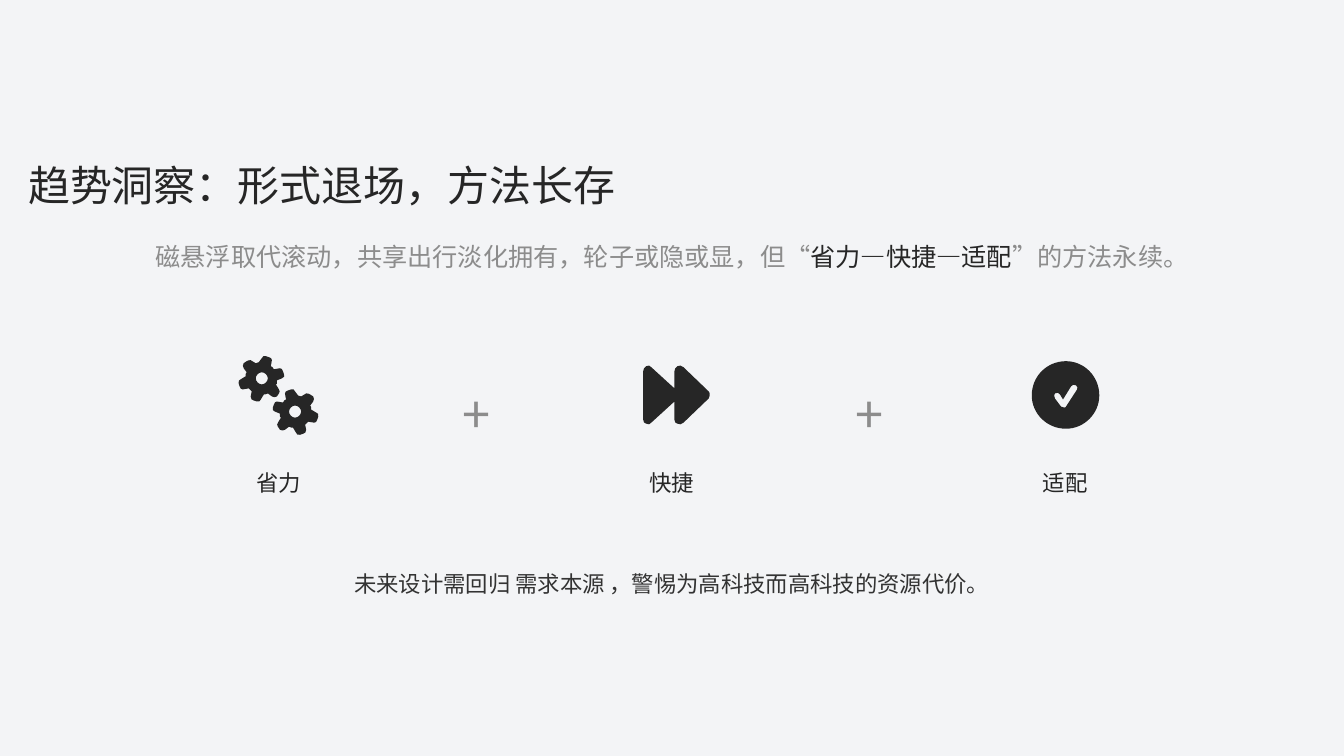
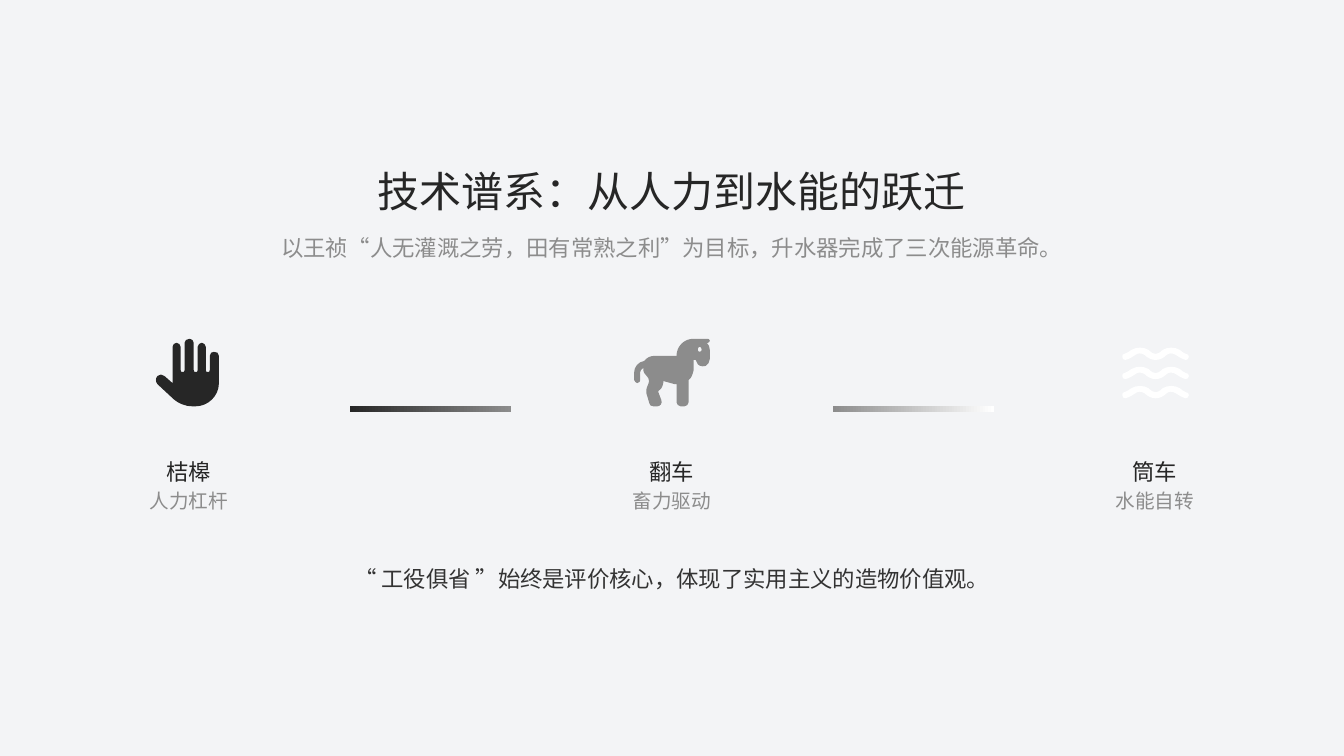
from lxml.etree import SubElement
from pptx import Presentation
from pptx.dml.color import RGBColor
from pptx.enum.shapes import MSO_SHAPE
from pptx.enum.text import MSO_ANCHOR, MSO_AUTO_SIZE, PP_ALIGN
from pptx.oxml.ns import qn
from pptx.util import Pt

PX = 12700  # 72 px per inch
ICON_UNIT = 9144  # icon outlines are drawn on a finer grid, 100 per inch
WIDTH, HEIGHT = 960, 540
MARGIN = 20
CENTRE = WIDTH // 2


class Theme:
    font = "Noto Sans CJK SC"
    paper = RGBColor.from_string("F3F4F6")
    ink = RGBColor.from_string("262626")
    body = RGBColor.from_string("333333")
    grey = RGBColor.from_string("8C8C8C")
    white = RGBColor.from_string("FFFFFF")
    title, lead, text, note, plus = 30, 18, 16, 14, 36


def put_text(sp, box, runs, size, colour, spacing=1.3, align=PP_ALIGN.CENTER):
    """Place a text shape and fill it; runs are (text, own colour or None)."""
    sp.left, sp.top, sp.width, sp.height = (v * PX for v in box)
    tf = sp.text_frame
    tf.word_wrap = True
    tf.auto_size = MSO_AUTO_SIZE.NONE
    tf.vertical_anchor = MSO_ANCHOR.MIDDLE
    tf.margin_left = tf.margin_right = tf.margin_top = tf.margin_bottom = 0
    p = tf.paragraphs[0]
    p.alignment = align
    p.line_spacing = spacing
    p.font.size = Pt(size)
    p.font.color.rgb = colour
    p.font.name = Theme.font
    east_asian = SubElement(p._p.pPr.find(qn("a:defRPr")), qn("a:ea"))
    east_asian.set("typeface", Theme.font)
    for text, own_colour in runs:
        r = p.add_run()
        r.text = text
        if own_colour is not None:
            r.font.color.rgb = own_colour


def trace(outline, dx=0, dy=0, flip=1):
    """Read 'x y' lines and 'x y x y x y' Bézier curves as lists of points."""
    segments = []
    for segment in outline.split(","):
        v = [int(n) for n in segment.split()]
        segments.append([(dx + flip * x, dy + y) for x, y in zip(v[::2], v[1::2])])
    return segments


GEAR = """-4 -22, -2 -23 -1 -22 0 -20, 3 -16, 4 -15 5 -15 6 -15, 11 -18,
 12 -18 14 -18 15 -17, 18 -15, 19 -13 19 -12 18 -10, 15 -6, 16 -5 16 -4 16 -4,
 16 -3 16 -3 16 -2, 21 1, 23 1 23 3 23 5, 22 8, 22 10 20 11 19 11, 13 10,
 12 11 11 12 10 13, 11 18, 11 20 10 22 8 22, 5 23, 3 23 1 23 1 21, -2 16,
 -3 16 -4 16 -6 15, -10 18, -12 19 -13 19 -15 18, -17 15, -18 14 -18 12 -17 11,
 -14 6, -15 6 -15 5 -15 4, -15 4 -15 3 -15 2, -20 0, -22 -1 -23 -2 -22 -4,
 -21 -7, -21 -9 -19 -10 -18 -10, -12 -9, -11 -11 -10 -12 -9 -12, -10 -18,
 -10 -19 -9 -21 -7 -21, -4 -22"""
GEAR_HOLE = "0 -6, -3 -6 -6 -3 -6 0, -6 3 -3 6 0 6, 3 6 6 3 6 0, 6 -3 3 -6 0 -6"
FORWARD = """49 6, 47 4 45 4 43 5, 41 6 40 8 40 10, 40 27, 17 6, 16 4 14 4 12 5,
 10 6 9 8 9 10, 9 58, 9 60 10 62 12 62, 14 63 16 63 17 61, 40 40, 40 58,
 40 60 41 62 43 62, 45 63 47 63 49 61, 74 37, 75 36 75 35 75 34,
 75 32 75 31 74 30, 49 6"""
DISC = "34 67, 52 67 67 52 67 34, 67 15 52 0 34 0, 15 0 0 15 0 34, 0 52 15 67 34 67"
TICK = """45 28, 34 45, 34 46 33 46 32 46, 31 46 30 46 29 45, 23 37, 22 35 22 33 23 32,
 25 31 27 31 28 33, 31 38, 39 25, 40 23 42 23 44 24, 45 25 46 27 45 28"""
HAND = """38 4, 38 2 36 0 34 0, 31 0 29 2 29 4, 29 31, 29 33 28 33 27 33,
 26 33 25 33 25 31, 25 8, 25 6 23 4 21 4, 19 4 17 6 17 8, 17 44,
 17 44 17 44 17 44, 9 37, 7 35 4 35 2 37, 0 39 0 43 2 45, 16 58,
 22 64 29 67 37 67, 40 67, 52 67 63 57 63 44, 63 17, 63 14 61 13 58 13,
 56 13 54 14 54 17, 54 31, 54 33 53 33 52 33, 51 33 50 33 50 31, 50 8,
 50 6 48 4 46 4, 44 4 42 6 42 8, 42 31, 42 33 41 33 40 33, 39 33 38 33 38 31,
 38 4"""
HORSE = """59 31, 59 21, 61 21, 62 23, 63 27 67 28 71 27, 73 26 75 23 75 20, 75 11,
 75 8 74 6 72 4, 73 4, 74 4 75 3 75 2, 75 1 74 0 73 0, 59 0, 49 0 42 8 42 17,
 20 17, 16 17 12 19 10 22, 4 23 0 28 0 33, 0 41, 0 42 2 44 3 44, 5 44 6 42 6 41,
 6 33, 6 32 7 30 9 29, 9 31 9 33 10 34, 14 39, 15 41 15 43 14 45,
 12 49 11 53 13 57, 15 64, 15 66 17 67 19 67, 23 67, 26 67 28 64 27 61, 24 53,
 24 52 24 51 25 51, 27 49, 28 47 29 45 29 43, 29 42 29 42 29 42, 40 45,
 41 45 41 45 42 45, 42 63, 42 65 44 67 46 67, 50 67, 52 67 54 65 54 63, 54 41,
 57 39 58 35 59 31"""
HORSE_EYE = """65 8, 66 8 67 9 67 11, 67 12 66 13 65 13, 64 13 63 12 63 11,
 63 9 64 8 65 8"""
WAVE = """54 16, 57 18 60 20 64 21, 65 21 67 20 67 18, 67 16 66 15 64 15,
 62 14 60 13 58 11, 53 8 46 8 41 11, 38 14 36 15 34 15, 32 15 30 14 27 11,
 22 8 15 8 10 11, 8 13 5 14 3 15, 2 15 0 16 1 18, 1 20 2 21 4 21,
 8 20 11 18 14 16, 16 14 20 14 23 16, 26 19 30 21 34 21, 38 21 42 19 45 16,
 47 14 51 14 54 16"""

# Each icon: width in px, closed outlines
gears = (60, [trace(part, dx, dy, flip)
              for dx, dy, flip in ((58, 50, 1), (25, 17, -1))
              for part in (GEAR, GEAR_HOLE)])
forward = (54, [trace(FORWARD)])
check = (48, [trace(DISC), trace(TICK)])
hand = (48, [trace(HAND)])
horse = (54, [trace(HORSE), trace(HORSE_EYE)])
waves = (48, [trace(WAVE, dy=19 * row) for row in range(3)])

SLIDES = [
    {
        "title": "趋势洞察：形式退场，方法长存",
        "title_box": (MARGIN, 114, WIDTH - MARGIN, 36), "title_align": PP_ALIGN.LEFT,
        "lead": [("磁悬浮取代滚动，共享出行淡化拥有，轮子或隐或显，但“", None),
                 ("省力—快捷—适配", Theme.ink), ("”的方法永续。", None)],
        "lead_box": (MARGIN, 166, WIDTH - 2 * MARGIN, 28), "lead_size": Theme.lead,
        "pitch": 281, "icon_top": 258, "label_top": 330,
        "columns": [(gears, Theme.ink, "省力", None),
                    (forward, Theme.ink, "快捷", None),
                    (check, Theme.ink, "适配", None)],
        "plus_top": 278,
        "closing": "未来设计需回归 需求本源 ，警惕为高科技而高科技的资源代价。",
        "closing_top": 402,
    },
    {
        "title": "技术谱系：从人力到水能的跃迁",
        "title_box": (0, 118, WIDTH, 36), "title_align": PP_ALIGN.CENTER,
        "lead": [("以王祯“人无灌溉之劳，田有常熟之利”为目标，升水器完成了三次能源革命。", None)],
        "lead_box": (0, 162, WIDTH, 24), "lead_size": Theme.text,
        "pitch": 345, "icon_top": 242, "label_top": 322,
        "columns": [(hand, Theme.ink, "桔槔", "人力杠杆"),
                    (horse, Theme.grey, "翻车", "畜力驱动"),
                    (waves, Theme.white, "筒车", "水能自转")],
        "bar_top": 290,
        "closing": "“ 工役俱省 ”始终是评价核心，体现了实用主义的造物价值观。",
        "closing_top": 398,
    },
]

prs = Presentation()
prs.slide_width, prs.slide_height = WIDTH * PX, HEIGHT * PX
background = prs.slide_master.background.fill
background.solid()
background.fore_color.rgb = Theme.paper

for content in SLIDES:
    s = prs.slides.add_slide(prs.slide_layouts[5])
    put_text(s.shapes.title, content["title_box"], [(content["title"], None)],
             Theme.title, Theme.ink, 1.0, content["title_align"])
    put_text(s.shapes.add_textbox(0, 0, 0, 0), content["lead_box"],
             content["lead"], content["lead_size"], Theme.grey)

    columns, pitch = content["columns"], content["pitch"]
    for i, ((icon_width, outlines), colour, label, note) in enumerate(columns):
        x = CENTRE + (i - 1) * pitch
        builder = s.shapes.build_freeform(*outlines[0][0][0], scale=ICON_UNIT)
        for n, outline in enumerate(outlines):
            if n:
                builder.move_to(*outline[0][0])
            builder.add_line_segments([seg[-1] for seg in outline[1:]], close=True)
        sp = builder.convert_to_shape((x - icon_width // 2) * PX,
                                      content["icon_top"] * PX)
        sp.shadow.inherit = False
        sp.fill.solid()
        sp.fill.fore_color.rgb = colour
        sp.line.fill.background()

        # Bend the straight segments that have control points.
        ends = [seg[-1] for outline in outlines for seg in outline]
        min_x, min_y = (min(values) for values in zip(*ends))
        segments = [seg for outline in outlines for seg in outline[1:]]
        for line, seg in zip(list(sp._element.iter(qn("a:lnTo"))), segments):
            if len(seg) == 3:
                line.tag = qn("a:cubicBezTo")
                line.remove(line[0])
                for px, py in seg:
                    pt = SubElement(line, qn("a:pt"))
                    pt.set("x", str(px - min_x))
                    pt.set("y", str(py - min_y))

        put_text(s.shapes.add_textbox(0, 0, 0, 0),
                 (x - 36, content["label_top"], 72, 24),
                 [(label, None)], Theme.text, Theme.ink)
        if note:
            put_text(s.shapes.add_textbox(0, 0, 0, 0),
                     (x - 48, content["label_top"] + 24, 96, 20),
                     [(note, None)], Theme.note, Theme.grey, 1.2)

        if i == len(columns) - 1:
            continue
        if "plus_top" in content:
            put_text(s.shapes.add_textbox(0, 0, 0, 0),
                     (x + 131, content["plus_top"], 59, 40),
                     [("+", None)], Theme.plus, Theme.grey, 0.9, PP_ALIGN.LEFT)
        else:
            bar = s.shapes.add_shape(
                MSO_SHAPE.RECTANGLE, (x + pitch // 2 - 57) * PX,
                content["bar_top"] * PX, 115 * PX, 4 * PX)
            bar.shadow.inherit = False
            bar.line.fill.background()
            bar.fill.gradient()
            bar.fill.gradient_angle = 0
            for stop, stop_colour in zip(bar.fill.gradient_stops,
                                         (colour, columns[i + 1][1])):
                stop.color.rgb = stop_colour

    put_text(s.shapes.add_textbox(0, 0, 0, 0),
             (MARGIN, content["closing_top"], WIDTH - 2 * MARGIN, 24),
             [(content["closing"], None)], Theme.text, Theme.body)

prs.save("out.pptx")
